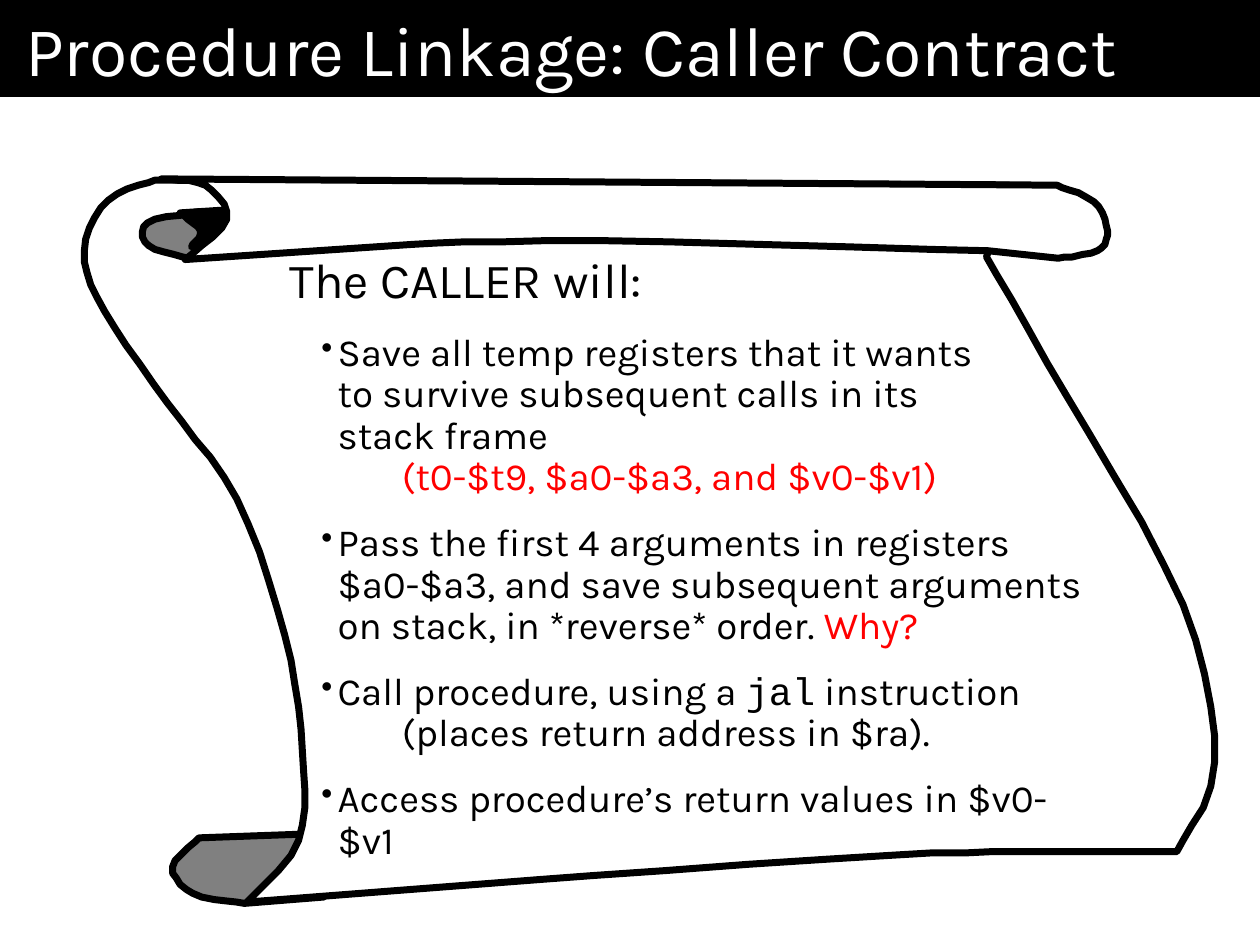
from lxml import etree
from pptx import Presentation
from pptx import util as u
from pptx.dml.color import RGBColor
from pptx.enum import shapes, text
from pptx.oxml.ns import qn

BLACK, WHITE, GREY, RED = "000000", "FFFFFF", "808080", "FF0000"
SANS, MONO = "Karla", "Courier New"
TITLE = "Procedure Linkage: Caller Contract"
HEADING = "The CALLER will:"
DUTIES = [
    {"main": [("Save all temp registers that it wants\nto survive subsequent calls in its\nstack frame", {})],
     "detail": [("(t0-$t9, $a0-$a3, and $v0-$v1)", {"color": RED})]},
    {"main": [("Pass the first 4 arguments in registers\n$a0-$a3, and save subsequent arguments "
               "on stack, in *reverse* order. ", {}), ("Why?", {"color": RED})]},
    {"main": [("Call procedure, using a ", {}), ("jal", {"font": MONO}), (" instruction", {})],
     "detail": [("(places return address in $ra).", {})]},
    {"main": [("Access procedure’s return values in $v0-$v1", {})]},
]
FOOT = [[(297, 660)], [(158, 665), (137, 688), (153, 709), (194, 717)], [(257, 712)]]
SHEET = [
    [(123, 143), (86, 159), (67, 199), (83, 247), (133, 320), (188, 396),
     (226, 504), (240, 596), (237, 667), (196, 716)],
    [(430, 698), (705, 679), (814, 676)],
    [(934, 676), (964, 605), (939, 480), (847, 315), (783, 204)],
    [(801, 147)],
]
CURL = [[(188, 170)], [(169, 202)], [(150, 205), (118, 195), (117, 177), (158, 168)]]
SHADE = [[(143, 169), (159, 183), (152, 196)], [(194, 191)], [(190, 166)]]
ROLL = [
    [(128, 142), (163, 147), (180, 174), (147, 206)],
    [(327, 194), (476, 191), (784, 199)],
    [(840, 205), (871, 199), (879, 183), (868, 160), (839, 147)],
]
SCROLL = [(GREY, FOOT), (WHITE, SHEET), (GREY, CURL), (BLACK, SHADE), (WHITE, ROLL)]
STEPS = 5


def rgb(color):
    """Turn a hex string into a colour."""
    return RGBColor.from_string(color)


def write(paragraph, words, size=22, color=BLACK, font=SANS):
    """Add words to a paragraph, breaking the line at each newline."""
    for number, line in enumerate(words.split("\n")):
        if number:
            paragraph.add_line_break()
        run = paragraph.add_run()
        run.text = line
        run.font.size, run.font.name = u.Pt(size), font
        run.font.color.rgb = rgb(color)


def set_frame(frame, side, top):
    """Wrap a text frame and set its insets."""
    frame.word_wrap = True
    frame.margin_left = frame.margin_right = u.Inches(side)
    frame.margin_top = frame.margin_bottom = u.Inches(top)


def indent(paragraph, left, hanging=0):
    """Set the left margin and hanging indent of a paragraph."""
    properties = paragraph._p.get_or_add_pPr()
    properties.set("marL", str(u.Inches(left)))
    properties.set("indent", str(-u.Inches(hanging)))
    return properties


def add_bullet(paragraph):
    """Give a paragraph a small black hanging bullet."""
    properties = indent(paragraph, 0.38, 0.13)
    tint = etree.SubElement(properties, qn("a:buClr"))
    etree.SubElement(tint, qn("a:srgbClr"), val=BLACK)
    etree.SubElement(properties, qn("a:buSzPct"), val="85000")
    etree.SubElement(properties, qn("a:buChar"), char="•")


def add_title(slide):
    """Draw the title band."""
    band = slide.shapes.add_shape(shapes.MSO_SHAPE.RECTANGLE, 0, 0, u.Inches(10), u.Inches(0.77))
    band.shadow.inherit = False
    band.fill.solid()
    band.fill.fore_color.rgb = rgb(BLACK)
    band.line.fill.background()
    set_frame(band.text_frame, 0.2, 0.05)
    band.text_frame.vertical_anchor = text.MSO_ANCHOR.MIDDLE
    paragraph = band.text_frame.paragraphs[0]
    paragraph.alignment = text.PP_ALIGN.LEFT
    write(paragraph, TITLE, size=40, color=WHITE)


def blend(a, b, c, d, t):
    """Return the Catmull-Rom value between b and c at t."""
    return b + t / 2 * (c - a + t * (2 * a - 5 * b + 4 * c - d + t * (3 * (b - c) + d - a)))


def smooth(knots):
    """Return points of a smooth curve through the knots."""
    padded = [knots[0], *knots, knots[-1]]
    points = [knots[0]]
    for window in zip(padded, padded[1:], padded[2:], padded[3:]):
        for step in range(1, STEPS + 1):
            points.append(tuple(blend(*axis, step / STEPS) for axis in zip(*window)))
    return points


def add_scroll(slide):
    """Draw the parchment scroll from its curves in hundredths of an inch."""
    for color, curves in SCROLL:
        outline = [point for knots in curves for point in smooth(knots)]
        builder = slide.shapes.build_freeform(*outline[0], scale=u.Inches(0.01))
        builder.add_line_segments(outline[1:], close=True)
        piece = builder.convert_to_shape()
        piece.shadow.inherit = False
        piece.fill.solid()
        piece.fill.fore_color.rgb = rgb(color)
        piece.line.color.rgb = rgb(BLACK)
        piece.line.width = u.Pt(4)


def add_contract(slide):
    """Write the heading and the caller's duties."""
    box = slide.shapes.add_textbox(u.Inches(2.25), u.Inches(2), u.Inches(6.54), u.Inches(4.87))
    frame = box.text_frame
    set_frame(frame, 0.05, 0.03)
    heading = frame.paragraphs[0]
    heading.line_spacing = 0.9
    write(heading, HEADING, size=28)
    for duty in DUTIES:
        for part, runs in duty.items():
            paragraph = frame.add_paragraph()
            paragraph.line_spacing = 0.9
            if part == "main":
                paragraph.space_before = u.Pt(13.8)
                add_bullet(paragraph)
            else:
                paragraph.space_before = u.Pt(0)
                indent(paragraph, 0.89)
            for words, style in runs:
                write(paragraph, words, **style)


def main():
    """Build and save the slide."""
    deck = Presentation()
    deck.slide_width, deck.slide_height = u.Inches(10), u.Inches(7.5)
    slide = deck.slides.add_slide(deck.slide_layouts[6])
    add_title(slide)
    add_scroll(slide)
    add_contract(slide)
    deck.save("out.pptx")


if __name__ == "__main__":
    main()
